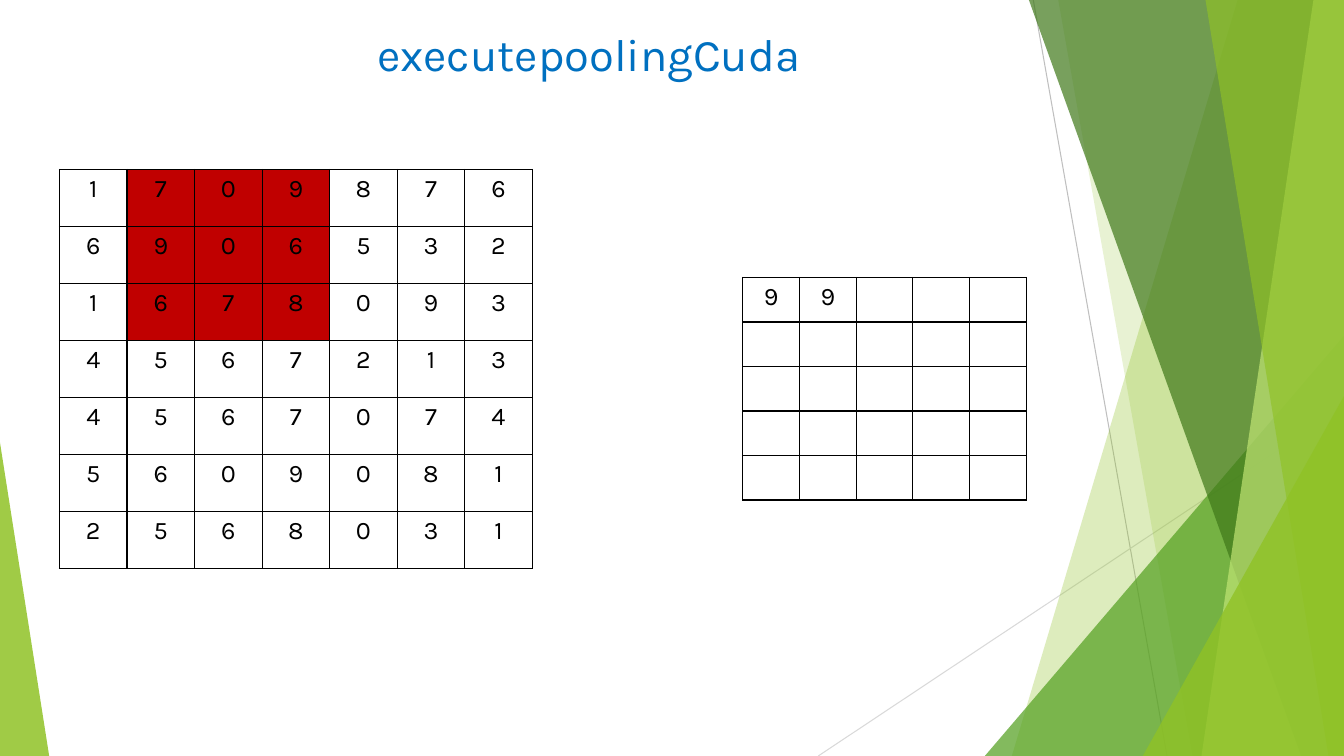
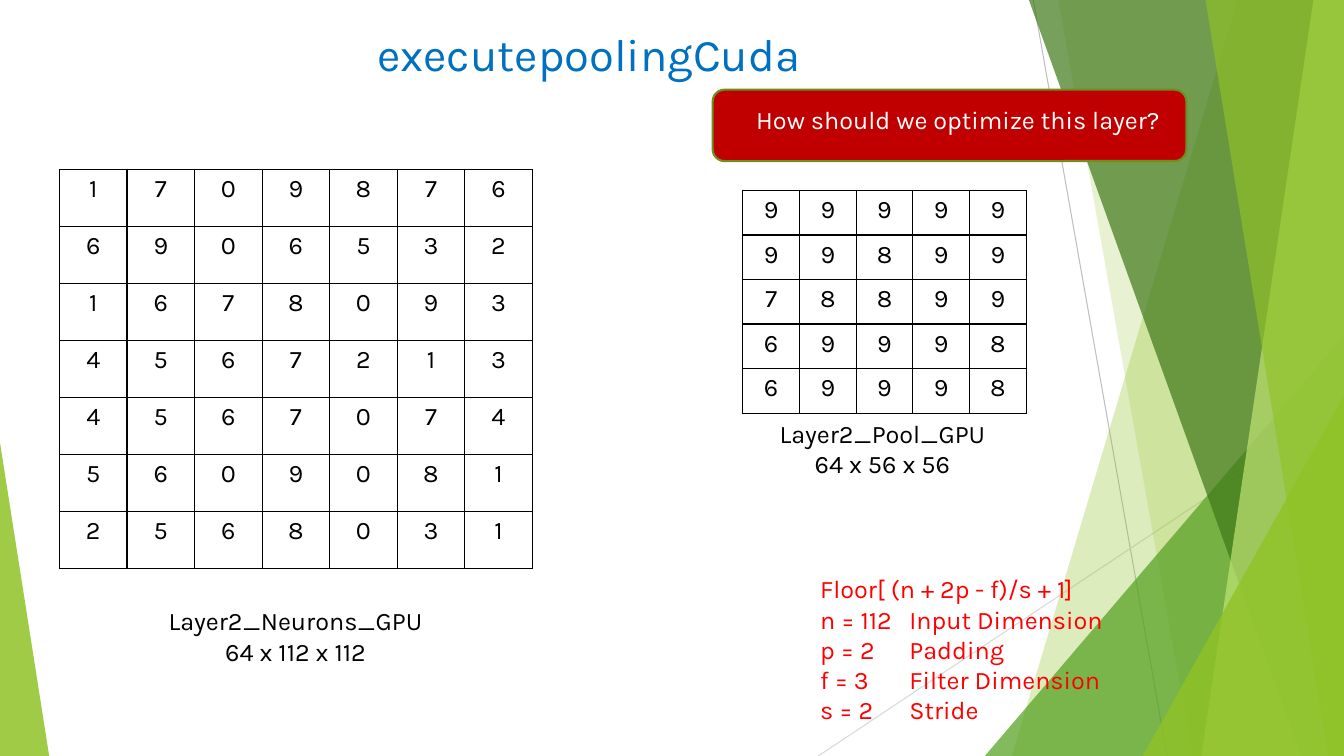
from lxml.etree import SubElement
from pptx import Presentation
from pptx.dml.color import RGBColor
from pptx.enum.shapes import MSO_CONNECTOR, MSO_SHAPE
from pptx.enum.text import MSO_ANCHOR, MSO_AUTO_SIZE, PP_ALIGN
from pptx.oxml.ns import qn
from pptx.util import Cm, Pt

WIDTH, HEIGHT = 33.87, 19.05
FONT = "Karla"
BLACK, WHITE, RED, DARK_RED, BLUE = "000000", "FFFFFF", "FF0000", "C00000", "0070C0"
LIME, GREEN, FOREST, PALE, OLIVE = "90C226", "54A021", "3F7819", "C0E474", "6B901C"

RAYS = [
    ((26.04, 0, 29.41, HEIGHT), "BFBFBF"),
    ((WIDTH, 10.24, 20.62, HEIGHT), "D9D9D9"),
]
SHARDS = [
    ("band", (31.19, 25.5), LIME, 30),
    ("band", (26.67, 30.05), LIME, 20),
    ("triangle", (24.82, 8.46, 9.05, 1), GREEN, 72),
    ("band", (25.93, 32.79), FOREST, 70),
    ("band", (33.1, 30.28), PALE, 70),
    ("band", (30.38, 33.48), LIME, 65),
    ("triangle", (28.8, 9.98, 5.07, 1), LIME, 80),
    ("triangle", (0, 11.15, 1.24, 0), LIME, 85),
]

NEURONS = ["1709876", "6906532", "1678093", "4567213", "4567074", "5609081", "2568031"]
POOL_START = ["99   ", "     ", "     ", "     ", "     "]
POOL_DONE = ["99999", "99899", "78899", "69998", "69998"]
FILTER_WINDOW = {(row, column) for row in range(3) for column in range(1, 4)}

NEURONS_AREA = (1.5, 4.27, 11.92, 10.06)
POOL_START_AREA = (18.72, 6.99, 7.14, 5.61)
POOL_DONE_AREA = (18.72, 4.8, 7.14, 5.61)

TITLE = "executepoolingCuda"
QUESTION = "How should we optimize this layer?"
CAPTIONS = [
    ((1.9, 15.14, 11.1, 1.8), ["Layer2_Neurons_GPU", "64 x 112 x 112"]),
    ((16.69, 10.41, 11.1, 1.8), ["Layer2_Pool_GPU", "64 x 56 x 56"]),
]
FORMULA = [
    "Floor[ (n + 2p - f)/s + 1]",
    "n = 112\tInput Dimension",
    "p = 2\tPadding",
    "f = 3\tFilter Dimension",
    "s = 2\tStride",
]


def colour(value):
    return RGBColor.from_string(value)


def lengths(values):
    return [Cm(value) for value in values]


def paint(shape, value, opacity=100):
    shape.shadow.inherit = False
    shape.line.fill.background()
    shape.fill.solid()
    shape.fill.fore_color.rgb = colour(value)
    if opacity < 100:
        colour_node = shape.fill._xPr.find(qn("a:solidFill"))[0]
        SubElement(colour_node, qn("a:alpha"), val=str(opacity * 1000))


def write(frame, lines, value, size=18, align=PP_ALIGN.LEFT):
    frame.text = "\n".join(lines)
    for paragraph in frame.paragraphs:
        paragraph.alignment = align
        for font in [paragraph.font] + [span.font for span in paragraph.runs]:
            font.name = FONT
            font.size = Pt(size)
            font.color.rgb = colour(value)


def draw_band(shapes, top_x, bottom_x):
    corners = [(WIDTH, 0), (WIDTH, HEIGHT), (bottom_x, HEIGHT)]
    builder = shapes.build_freeform(Cm(top_x), 0)
    builder.add_line_segments([lengths(corner) for corner in corners], close=True)
    return builder.convert_to_shape()


def draw_triangle(shapes, left, top, width, apex):
    area = lengths((left, top, width, HEIGHT - top))
    shape = shapes.add_shape(MSO_SHAPE.ISOSCELES_TRIANGLE, *area)
    shape.adjustments[0] = apex
    return shape


def decorate_layout(layout, page):
    for placeholder in list(layout.placeholders)[1:]:
        layout.shapes.element.remove(placeholder.element)
    drawn = []
    for ends, value in RAYS:
        ray = page.shapes.add_connector(MSO_CONNECTOR.STRAIGHT, *lengths(ends))
        ray.line.color.rgb = colour(value)
        ray.line.width = Pt(0.75)
        SubElement(ray.element.spPr, qn("a:effectLst"))
        drawn.append(ray)
    draw = {"band": draw_band, "triangle": draw_triangle}
    for kind, geometry, value, opacity in SHARDS:
        shard = draw[kind](page.shapes, *geometry)
        paint(shard, value, opacity)
        drawn.append(shard)
    for shape in drawn:
        layout.shapes.element.append(shape.element)


def add_title(page):
    title = page.shapes.title
    title.left, title.top, title.width, title.height = lengths((2.9, 0.43, 23.88, 1.83))
    frame = title.text_frame
    write(frame, [TITLE], BLUE, 32.4, PP_ALIGN.CENTER)
    frame.auto_size = MSO_AUTO_SIZE.NONE
    frame.vertical_anchor = MSO_ANCHOR.MIDDLE


def outline_cell(cell):
    properties = cell._tc.get_or_add_tcPr()
    for position, side in enumerate(("a:lnL", "a:lnR", "a:lnT", "a:lnB")):
        border = SubElement(properties, qn(side), w=str(Pt(1)))
        properties.insert(position, border)
        fill = SubElement(border, qn("a:solidFill"))
        SubElement(fill, qn("a:srgbClr"), val=BLACK)


def add_matrix(page, rows, area, highlighted=()):
    left, top, width, height = area
    row_count, column_count = len(rows), len(rows[0])
    table = page.shapes.add_table(row_count, column_count, *lengths(area)).table
    table.first_row = table.horz_banding = False
    for column in table.columns:
        column.width = Cm(width / column_count)
    for row in table.rows:
        row.height = Cm(height / row_count)
    for row_index, digits in enumerate(rows):
        for column_index, digit in enumerate(digits):
            cell = table.cell(row_index, column_index)
            write(cell.text_frame, [digit.strip()], BLACK, align=PP_ALIGN.CENTER)
            if (row_index, column_index) in highlighted:
                cell.fill.solid()
                cell.fill.fore_color.rgb = colour(DARK_RED)
            else:
                cell.fill.background()
            outline_cell(cell)


def add_text(page, area, lines, value, align=PP_ALIGN.LEFT):
    frame = page.shapes.add_textbox(*lengths(area)).text_frame
    frame.word_wrap = True
    write(frame, lines, value, align=align)
    return frame


def add_formula(page):
    frame = add_text(page, (20.42, 14.33, 9.45, 4.11), FORMULA, RED)
    for paragraph in frame.paragraphs[1:]:
        properties = paragraph._p.get_or_add_pPr()
        stops = properties.makeelement(qn("a:tabLst"))
        properties.insert(0, stops)
        SubElement(stops, qn("a:tab"), pos=str(Cm(2.25)), algn="l")


def add_question(page):
    area = lengths((17.96, 2.26, 11.94, 1.8))
    banner = page.shapes.add_shape(MSO_SHAPE.ROUNDED_RECTANGLE, *area)
    paint(banner, DARK_RED)
    banner.line.color.rgb = colour(OLIVE)
    banner.line.width = Pt(1.5)
    frame = banner.text_frame
    frame.vertical_anchor = MSO_ANCHOR.TOP
    frame.margin_left, frame.margin_top, frame.margin_right = lengths((1.01, 0.27, 0))
    write(frame, [QUESTION], WHITE)


def main():
    deck = Presentation()
    deck.slide_width, deck.slide_height = lengths((WIDTH, HEIGHT))
    layout = deck.slide_layouts[5]
    window_page, result_page = [deck.slides.add_slide(layout) for _ in range(2)]
    decorate_layout(layout, window_page)
    for page in (window_page, result_page):
        add_title(page)

    add_matrix(window_page, NEURONS, NEURONS_AREA, FILTER_WINDOW)
    add_matrix(window_page, POOL_START, POOL_START_AREA)

    add_matrix(result_page, NEURONS, NEURONS_AREA)
    add_matrix(result_page, POOL_DONE, POOL_DONE_AREA)
    for area, lines in CAPTIONS:
        add_text(result_page, area, lines, BLACK, PP_ALIGN.CENTER)
    add_formula(result_page)
    add_question(result_page)

    deck.save("out.pptx")


if __name__ == "__main__":
    main()
